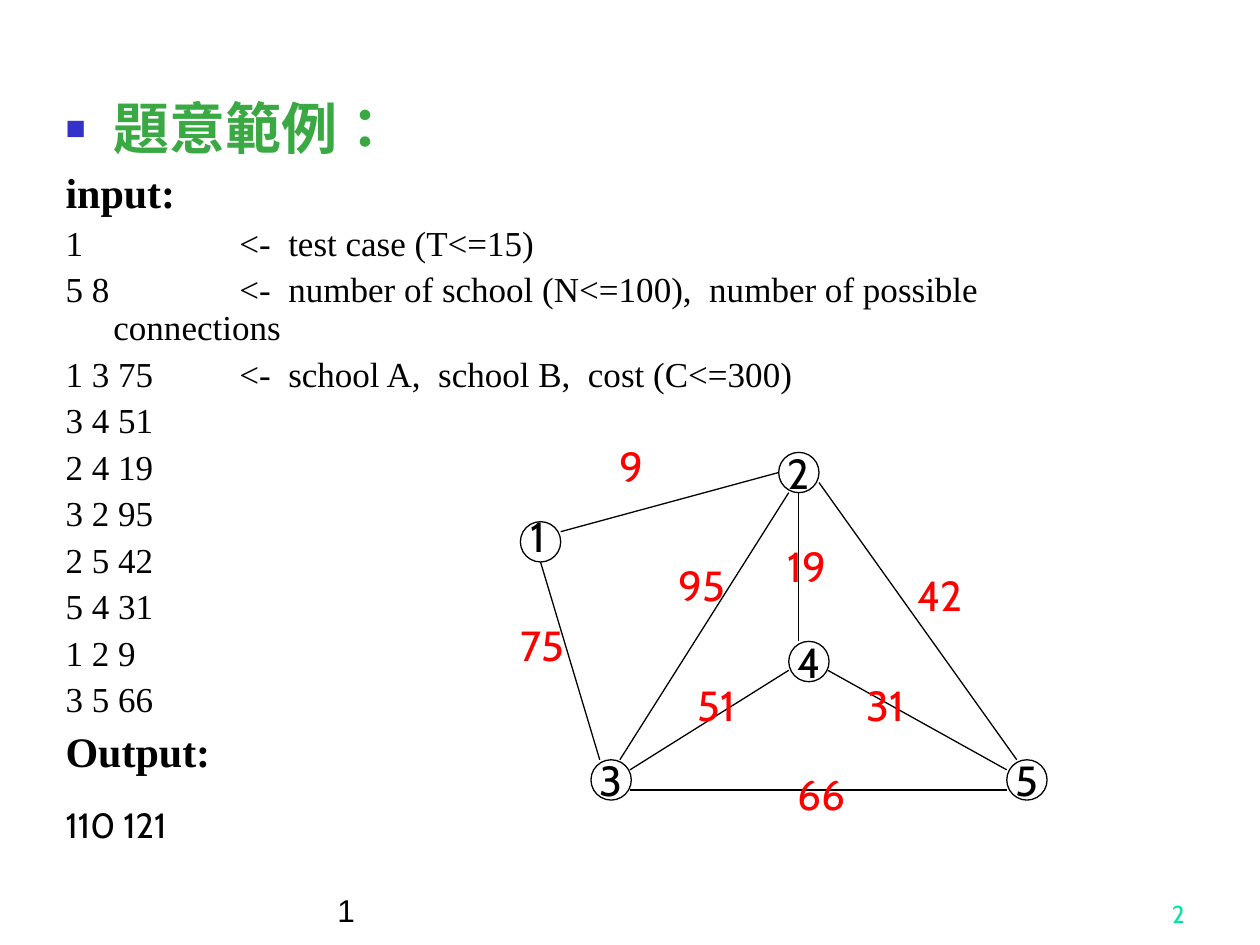
from dataclasses import dataclass

from lxml import etree
from pptx import Presentation
from pptx.dml.color import RGBColor
from pptx.enum.shapes import MSO_CONNECTOR, MSO_SHAPE
from pptx.enum.text import MSO_ANCHOR, MSO_AUTO_SIZE, PP_ALIGN
from pptx.oxml.ns import qn
from pptx.util import Inches, Pt

OVAL, STRAIGHT = MSO_SHAPE.OVAL, MSO_CONNECTOR.STRAIGHT
TOP, MIDDLE, BOTTOM = MSO_ANCHOR.TOP, MSO_ANCHOR.MIDDLE, MSO_ANCHOR.BOTTOM
LEFT, CENTER, RIGHT = PP_ALIGN.LEFT, PP_ALIGN.CENTER, PP_ALIGN.RIGHT
NO_FIT = MSO_AUTO_SIZE.NONE

BLACK = RGBColor(0x00, 0x00, 0x00)
WHITE = RGBColor(0xFF, 0xFF, 0xFF)
RED = RGBColor(0xFF, 0x00, 0x00)
GREEN = RGBColor(0x3B, 0xA9, 0x43)
BLUE = RGBColor(0x33, 0x33, 0xCC)
TEAL = RGBColor(0x00, 0xE4, 0xA8)

SERIF, SANS, PLAIN = "Times New Roman", "Cabin", "Arial"
NODE_SIZE = 0.32
INDENT = 0.38

Point = tuple[float, float]


@dataclass
class Line:
    text: str
    size: int = 20
    before: int = 5
    bold: bool = False
    color: RGBColor = BLACK
    font: str = SERIF
    bullet: bool = False
    language: str = "en-US"


@dataclass
class Node:
    label: str
    corner: Point


@dataclass
class Edge:
    start: Point
    end: Point
    cost: str
    cost_corner: Point


LINES = [
    Line("題意範例：", 32, 0, True, GREEN, bullet=True, language="zh-TW"),
    Line("input:", 24, 6, True),
    Line("1\t\t<-  test case (T<=15)"),
    Line("5 8\t\t<-  number of school (N<=100),  number of possible connections"),
    Line("1 3 75\t<-  school A,  school B,  cost (C<=300)"),
    *(Line(row) for row in ("3 4 51", "2 4 19", "3 2 95", "2 5 42",
                            "5 4 31", "1 2 9", "3 5 66")),
    Line("Output:", 24, 6, True),
    Line("110 121", before=8, font=SANS),
]

NODES = [
    Node("2", (6.18, 3.59)),
    Node("4", (6.26, 5.09)),
    Node("5", (7.99, 6.03)),
    Node("3", (4.69, 6.03)),
    Node("", (4.13, 4.14)),  # node 1 has its label in a box of its own
]

EDGES = [
    Edge((4.45, 4.22), (6.18, 3.75), "9", (4.82, 3.45)),
    Edge((4.29, 4.46), (4.76, 6.03), "75", (4.03, 4.87)),
    Edge((6.26, 3.91), (4.92, 6.03), "95", (5.29, 4.39)),
    Edge((6.34, 3.91), (6.34, 5.09), "19", (6.15, 4.24)),
    Edge((6.26, 5.32), (5.00, 6.11), "51", (5.44, 5.34)),
    Edge((6.50, 3.83), (8.07, 6.03), "42", (7.18, 4.47)),
    Edge((6.57, 5.32), (7.99, 6.11), "31", (6.78, 5.34)),
    Edge((5.00, 6.27), (7.99, 6.27), "66", (6.23, 6.05)),
]


def add_run(paragraph, text: str, size: int, color: RGBColor, font: str = SANS,
            bold: bool = False, language: str = "en-US") -> None:
    run = paragraph.add_run()
    run.text = text
    run.font.name = font
    run.font.size = Pt(size)
    run.font.bold = bold
    run.font.color.rgb = color
    run._r.get_or_add_rPr().set("lang", language)


def set_indent(paragraph, bullet: bool) -> None:
    """Hanging indent, bullet and one-inch tab stops."""
    properties = paragraph._p.get_or_add_pPr()
    properties.set("marL", str(Inches(INDENT)))
    properties.set("indent", str(-Inches(INDENT)))
    properties.set("defTabSz", str(Inches(1)))
    if bullet:
        color = etree.SubElement(properties, qn("a:buClr"))
        etree.SubElement(color, qn("a:srgbClr"), val=str(BLUE))
        etree.SubElement(properties, qn("a:buSzPct"), val="60000")
        etree.SubElement(properties, qn("a:buChar"), char="■")
    else:
        etree.SubElement(properties, qn("a:buNone"))
    tabs = etree.SubElement(properties, qn("a:tabLst"))
    first = 1 if bullet else 0
    for inch in range(first, first + 8):
        etree.SubElement(tabs, qn("a:tab"), pos=str(Inches(inch)), algn="l")


def fill_body(body) -> None:
    body.left, body.top = Inches(0.42), Inches(0.75)
    body.width, body.height = Inches(8.83), Inches(6.15)
    frame = body.text_frame
    frame.word_wrap = True
    frame.auto_size = NO_FIT
    frame.vertical_anchor = TOP
    for index, line in enumerate(LINES):
        paragraph = frame.paragraphs[0] if index == 0 else frame.add_paragraph()
        set_indent(paragraph, line.bullet)
        paragraph.line_spacing = 0.9
        paragraph.space_before = Pt(line.before)
        add_run(paragraph, line.text, line.size, line.color, line.font,
                line.bold, line.language)
    # A large closing space sets the height of the last line
    add_run(paragraph, " ", 32, BLACK)


def add_node(slide, node: Node) -> None:
    left, top = node.corner
    circle = slide.shapes.add_shape(OVAL, Inches(left), Inches(top),
                                    Inches(NODE_SIZE), Inches(NODE_SIZE))
    circle.shadow.inherit = False
    circle.fill.solid()
    circle.fill.fore_color.rgb = WHITE
    circle.line.color.rgb = BLACK
    circle.line.width = Pt(0.75)
    if node.label:
        frame = circle.text_frame
        frame.word_wrap = False
        frame.vertical_anchor = MIDDLE
        frame.paragraphs[0].alignment = CENTER
        add_run(frame.paragraphs[0], node.label, 24, BLACK)


def add_edge(slide, edge: Edge) -> None:
    ends = [Inches(value) for value in (*edge.start, *edge.end)]
    connector = slide.shapes.add_connector(STRAIGHT, *ends)
    connector.line.color.rgb = BLACK
    connector.line.width = Pt(0.75)
    etree.SubElement(connector._element.spPr, qn("a:effectLst"))


def add_text(slide, text: str, corner: Point, width: float, size: int,
             color: RGBColor, font: str = SANS, wrap: bool = False,
             anchor=TOP, alignment=LEFT) -> None:
    left, top = corner
    box = slide.shapes.add_textbox(Inches(left), Inches(top),
                                   Inches(width), Inches(0.5))
    frame = box.text_frame
    frame.word_wrap = wrap
    frame.vertical_anchor = anchor
    frame.paragraphs[0].alignment = alignment
    add_run(frame.paragraphs[0], text, size, color, font)


def add_label(slide, text: str, corner: Point, color: RGBColor) -> None:
    add_text(slide, text, corner, 0.2 + 0.19 * len(text), 24, color)


def main() -> None:
    presentation = Presentation()
    presentation.slide_width, presentation.slide_height = Inches(10), Inches(7.5)
    slide = presentation.slides.add_slide(presentation.slide_layouts[1])

    # The heading is the first line of the body, so no title is needed
    title = slide.shapes.title._element
    title.getparent().remove(title)
    fill_body(slide.placeholders[1])

    # Graph of schools and connection costs
    for node in NODES:
        add_node(slide, node)
    add_label(slide, "1", (4.11, 4.0), BLACK)
    for edge in EDGES:
        add_edge(slide, edge)
    for edge in EDGES:
        add_label(slide, edge.cost, edge.cost_corner, RED)

    # Footer and slide number
    add_text(slide, "1", (2.58, 6.92), 5.42, 18, BLACK, PLAIN, True, BOTTOM)
    add_text(slide, "2", (7.42, 6.92), 2.08, 14, TEAL, SANS, True, BOTTOM, RIGHT)

    presentation.save("out.pptx")


if __name__ == "__main__":
    main()
